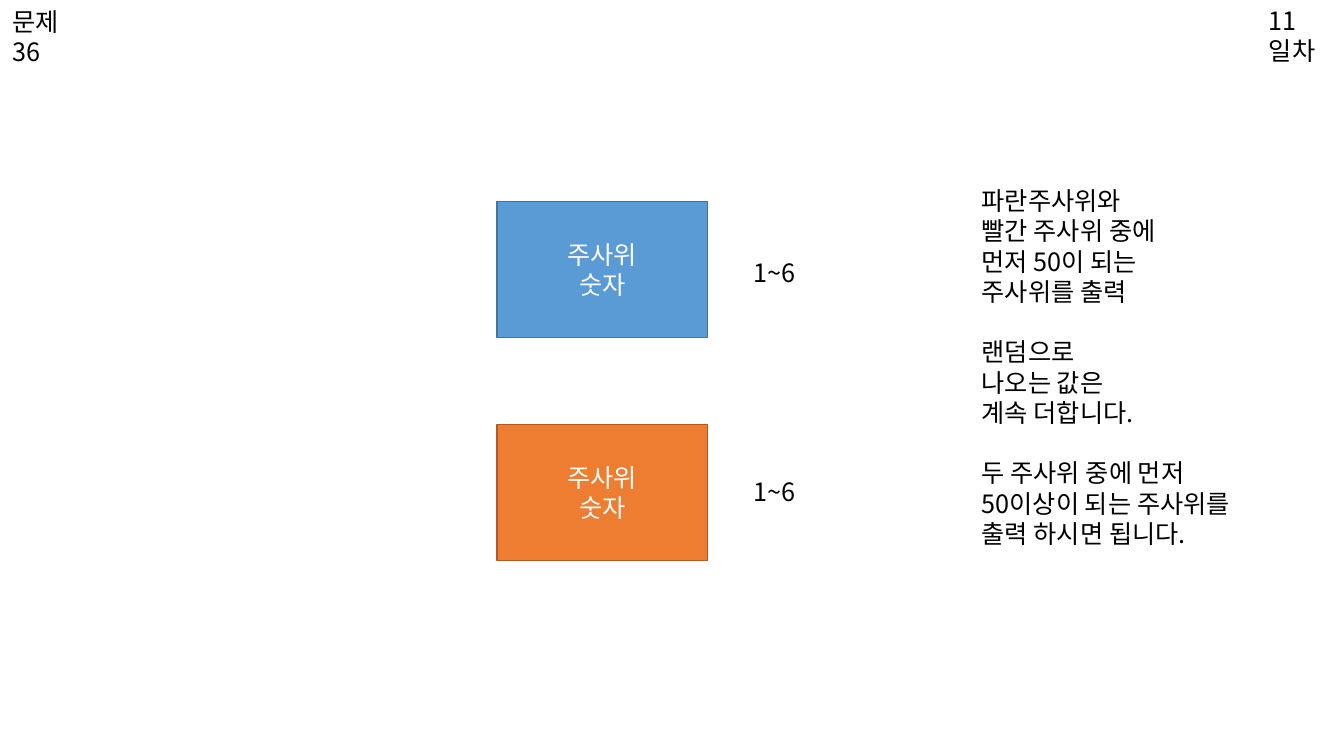
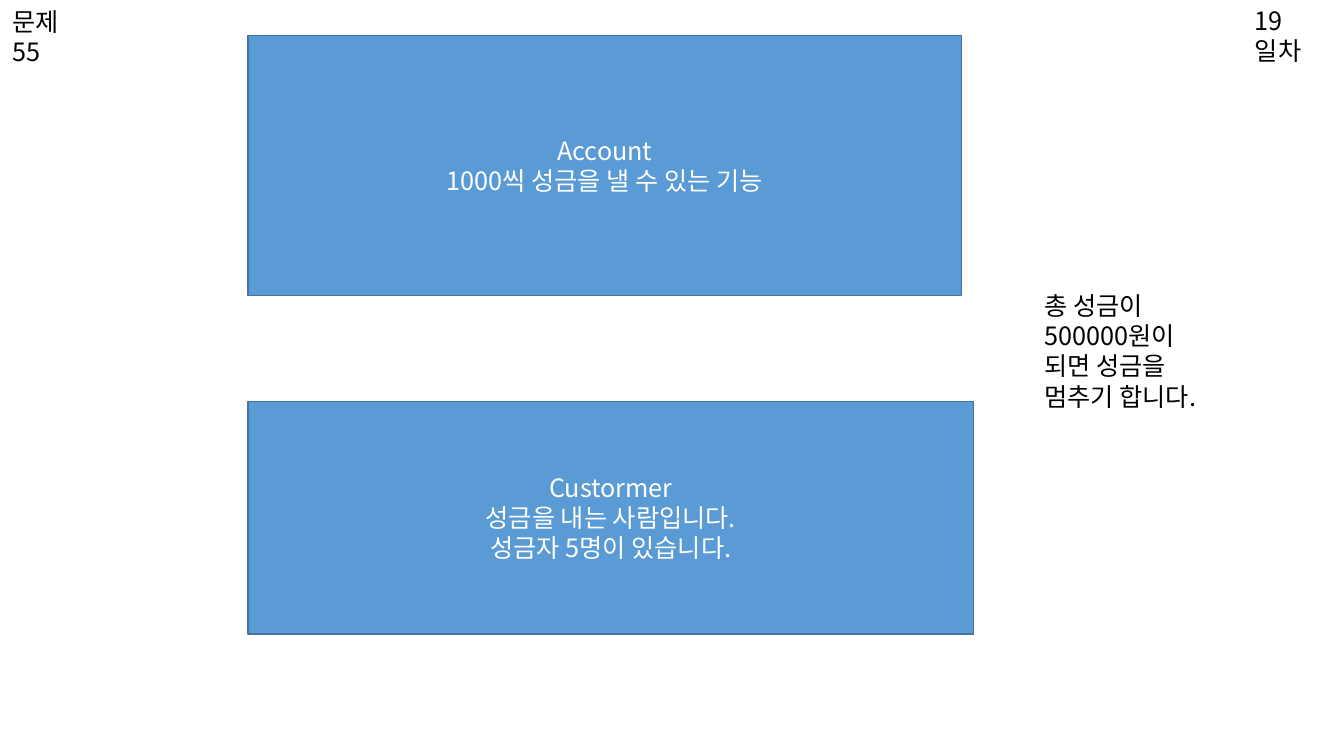
from lxml.etree import SubElement
from pptx import Presentation
from pptx.dml.color import RGBColor
from pptx.enum.shapes import MSO_SHAPE as Shape
from pptx.enum.text import MSO_ANCHOR as Anchor, MSO_AUTO_SIZE as AutoSize, PP_ALIGN as Align
from pptx.oxml.ns import qn
from pptx.util import Inches, Pt

WIDTH, HEIGHT = Inches(13.33), Inches(7.5)
FONT = "Noto Sans CJK KR"
TEXT_SIZE, LINE_PITCH = Pt(18), Pt(21.6)
BLACK, WHITE = "000000", "FFFFFF"
BLUE, BLUE_EDGE = "5B9BD5", "43739E"
ORANGE, ORANGE_EDGE = "ED7D31", "AF5C24"
TAG_SIZE = (5.25, 9.33)


def color(value):
    return RGBColor.from_string(value)


def area(left, top, width, height):
    return (round(WIDTH * left / 100), round(HEIGHT * top / 100),
            round(WIDTH * width / 100), round(HEIGHT * height / 100))


def move(shape, box):
    shape.left, shape.top, shape.width, shape.height = area(*box)


def format_paragraph(paragraph, text_color, align, gap):
    paragraph.alignment = align
    paragraph.line_spacing = LINE_PITCH
    paragraph.space_before = gap
    paragraph.space_after = Pt(0)
    font = paragraph.font
    font.size, font.name = TEXT_SIZE, FONT
    font.color.rgb = color(text_color)
    properties = paragraph._p.get_or_add_pPr()
    SubElement(properties.find(qn("a:defRPr")), qn("a:ea"), typeface=FONT)
    return properties


def write(shape, groups, text_color=BLACK, align=Align.LEFT, anchor=Anchor.TOP):
    frame = shape.text_frame
    frame.word_wrap = True
    frame.auto_size = AutoSize.NONE
    frame.vertical_anchor = anchor
    frame.text = "\n".join(line for group in groups for line in group)
    paragraphs = iter(frame.paragraphs)
    for group_index, group in enumerate(groups):
        for line_index in range(len(group)):
            starts_group = group_index > 0 and line_index == 0
            gap = LINE_PITCH if starts_group else Pt(0)
            format_paragraph(next(paragraphs), text_color, align, gap)


def add_label(slide, box, text):
    write(slide.shapes.add_textbox(*area(*box)), [[text]])


def add_block(slide, box, lines, fill=BLUE, edge=BLUE_EDGE):
    shape = slide.shapes.add_shape(Shape.RECTANGLE, *area(*box))
    shape.shadow.inherit = False
    shape.fill.solid()
    shape.fill.fore_color.rgb = color(fill)
    shape.line.color.rgb = color(edge)
    shape.line.width = Pt(1)
    write(shape, [lines], WHITE, Align.CENTER, Anchor.MIDDLE)


def fill_note(slide, box, groups):
    note = slide.placeholders[1]
    move(note, box)
    write(note, groups)
    for paragraph in note.text_frame.paragraphs:
        properties = paragraph._p.get_or_add_pPr()
        properties.set("marL", "0")
        properties.set("indent", "0")
        bullet = SubElement(properties, qn("a:buNone"))
        properties.find(qn("a:defRPr")).addprevious(bullet)


def add_problem(presentation, title, day, day_left):
    slide = presentation.slides.add_slide(presentation.slide_layouts[1])
    move(slide.shapes.title, (0.15, 0.13, *TAG_SIZE))
    write(slide.shapes.title, [[title]])
    add_label(slide, (day_left, 0, *TAG_SIZE), day)
    return slide


def add_dice_problem(presentation):
    slide = add_problem(presentation, "문제36", "11일차", 93.68)
    dice = [(26.67, 33.33, BLUE, BLUE_EDGE), (56.13, 62.4, ORANGE, ORANGE_EDGE)]
    for top, range_top, fill, edge in dice:
        add_block(slide, (36.98, top, 15.68, 18), ["주사위", "숫자"], fill, edge)
        add_label(slide, (55.35, range_top, 6, 5.33), "1~6")
    fill_note(slide, (72.3, 23.87, 21.98, 49.87), [
        ["파란주사위와", "빨간 주사위 중에", "먼저 50이 되는", "주사위를 출력"],
        ["랜덤으로", "나오는 값은", "계속 더합니다."],
        ["두 주사위 중에 먼저", "50이상이 되는 주사위를", "출력 하시면 됩니다."],
    ])


def add_donation_problem(presentation):
    slide = add_problem(presentation, "문제55", "19일차", 92.63)
    add_block(slide, (18.45, 4.67, 53.1, 34.4),
              ["Account", "1000씩 성금을 낼 수 있는 기능"])
    add_block(slide, (18.45, 53.07, 54, 30.8),
              ["Custormer", "성금을 내는 사람입니다.", "성금자 5명이 있습니다."])
    fill_note(slide, (76.95, 37.73, 13.95, 17.47),
              [["총 성금이", "500000원이", "되면 성금을", "멈추기 합니다."]])


def main():
    presentation = Presentation()
    presentation.slide_width, presentation.slide_height = WIDTH, HEIGHT
    add_dice_problem(presentation)
    add_donation_problem(presentation)
    presentation.save("out.pptx")


if __name__ == "__main__":
    main()
